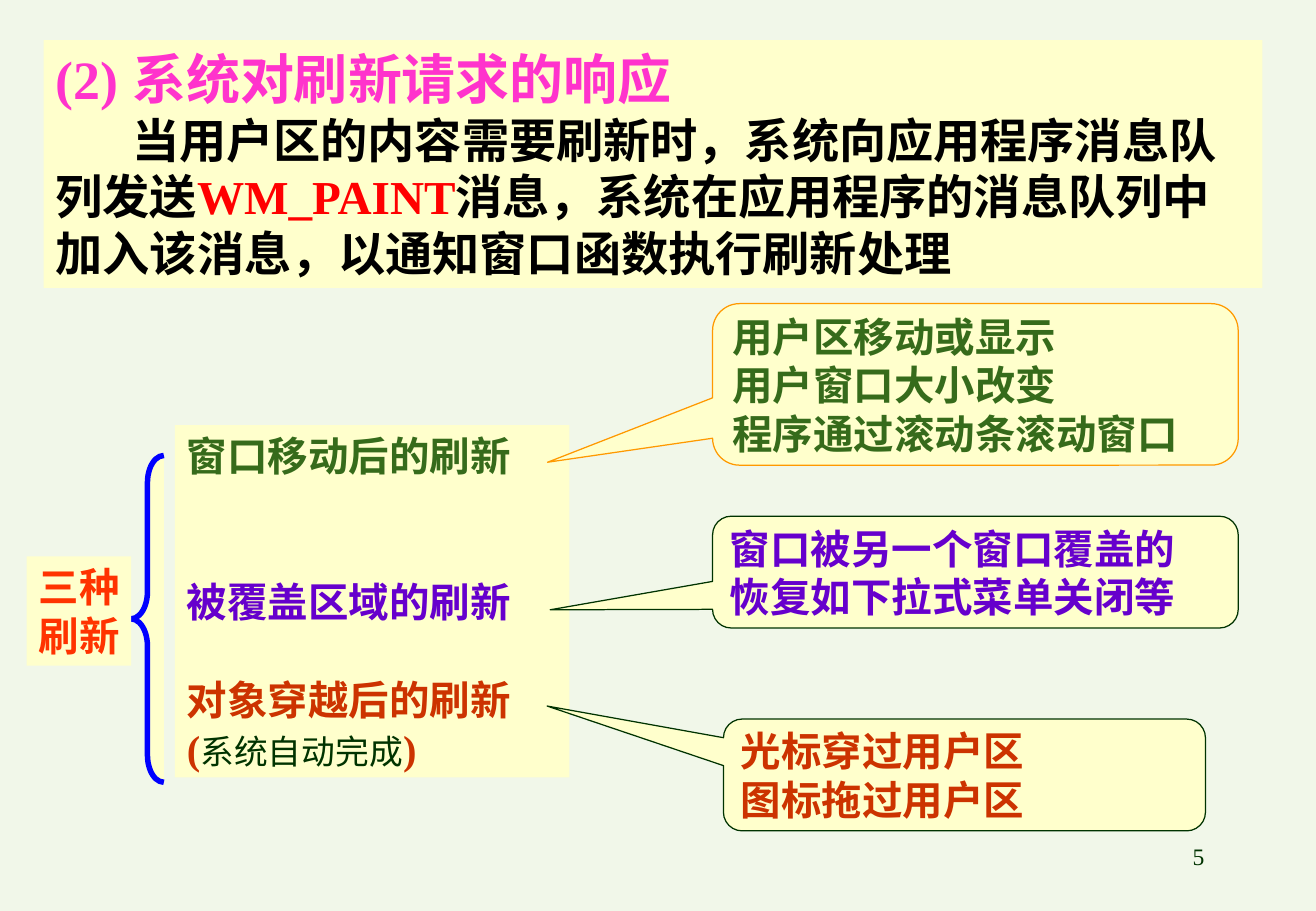
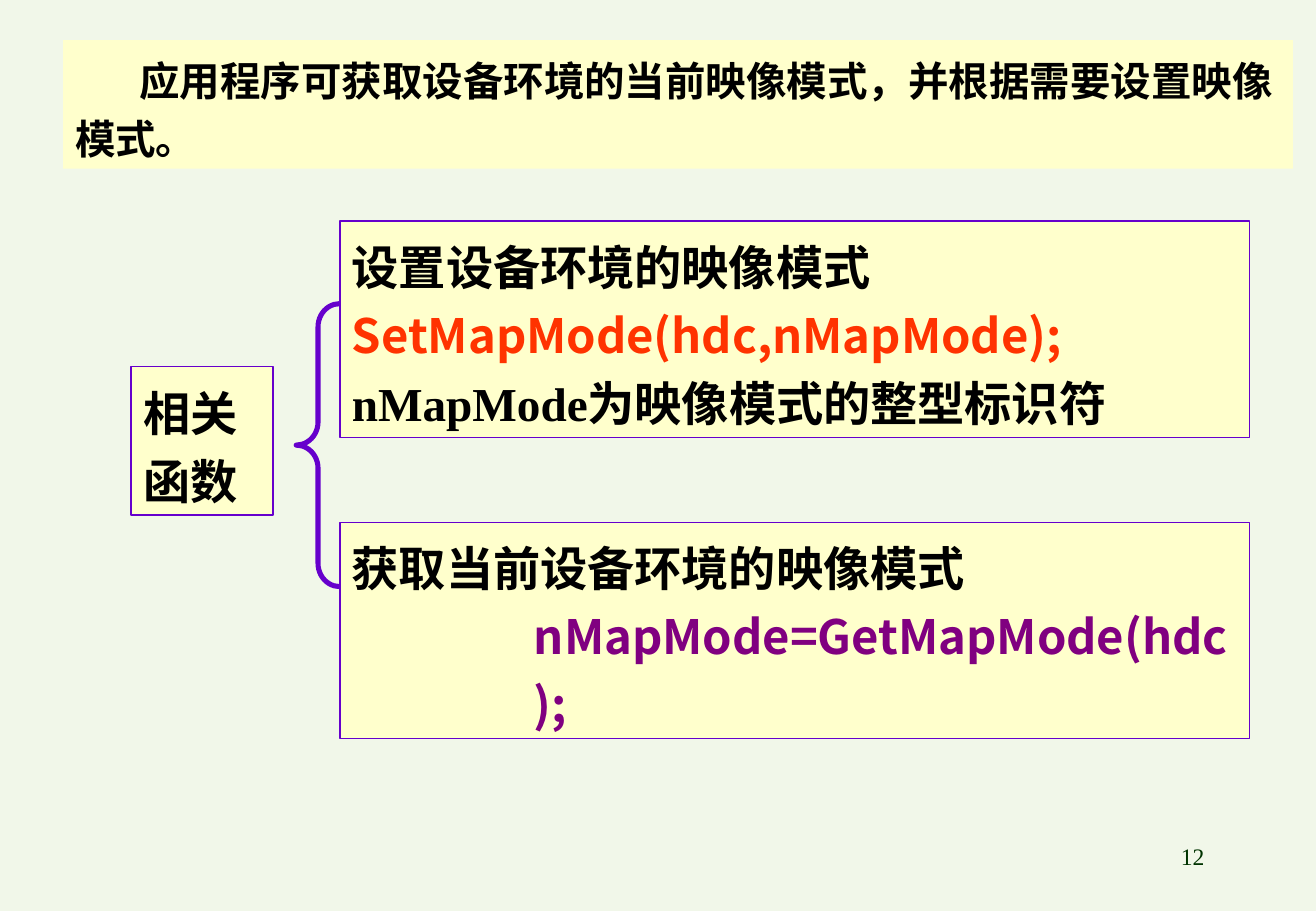
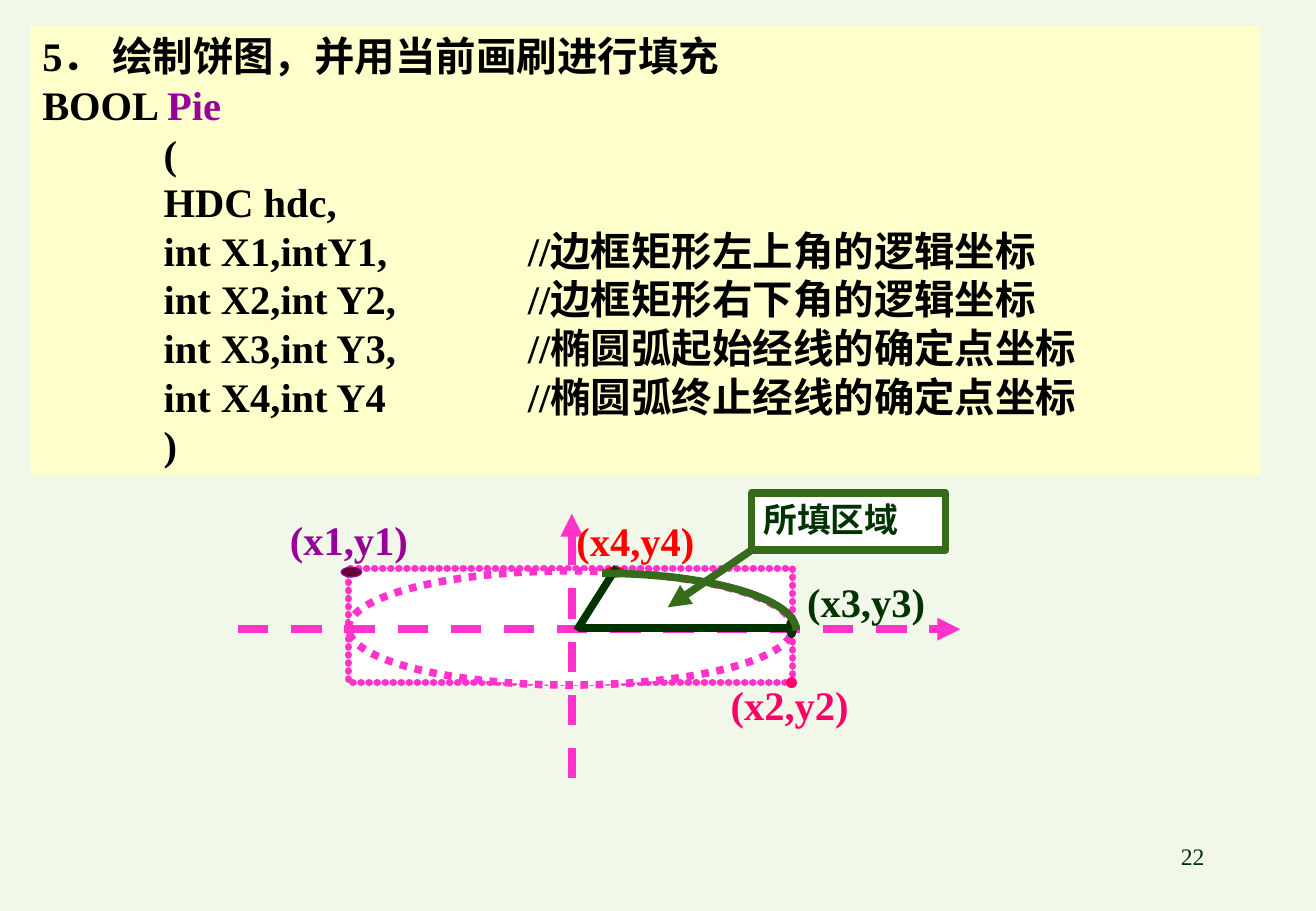
from lxml.etree import SubElement
from pptx import Presentation
from pptx.dml.color import RGBColor
from pptx.enum.dml import MSO_LINE
from pptx.enum.shapes import MSO_CONNECTOR, MSO_SHAPE
from pptx.enum.text import MSO_ANCHOR, PP_ALIGN
from pptx.oxml.ns import qn
from pptx.util import Inches, Pt

LATIN_FONT = "Times New Roman"
ASIAN_FONT = "Noto Sans CJK SC"
BACKGROUND = "F1F7E9"
CREAM = "FFFFCC"
WHITE = "FFFFFF"
BLACK = "000000"
DARK_GREEN = "003300"
GREEN = "366B1B"
VIOLET = "6600CC"
RUST = "CC3300"
ORANGE_RED = "FF3300"
RED = "FF0000"
PINK = "FF33CC"
PURPLE = "990099"
ROSE = "FF0066"


def add_box(slide, place, paragraphs=(), kind=MSO_SHAPE.RECTANGLE, fill=CREAM, line=None,
            line_width=0.75, size=24, bold=True, spacing=1.0, wrap=True, anchor=MSO_ANCHOR.TOP):
    """Add a shape, or a text box if kind is None; a paragraph is a list of (text, colour) runs."""
    lengths = [Inches(value) for value in place]
    if kind is None:
        shape = slide.shapes.add_textbox(*lengths)
    else:
        shape = slide.shapes.add_shape(kind, *lengths)
        shape.shadow.inherit = False
        if fill:
            shape.fill.solid()
            shape.fill.fore_color.rgb = RGBColor.from_string(fill)
        else:
            shape.fill.background()
        if line:
            shape.line.color.rgb = RGBColor.from_string(line)
            shape.line.width = Pt(line_width)
        else:
            shape.line.fill.background()
    text_frame = shape.text_frame
    text_frame.word_wrap = wrap
    text_frame.vertical_anchor = anchor
    for index, runs in enumerate(paragraphs):
        paragraph = text_frame.add_paragraph() if index else text_frame.paragraphs[0]
        paragraph.alignment = PP_ALIGN.LEFT
        paragraph.line_spacing = spacing
        for text, color in runs:
            run = paragraph.add_run()
            run.text = text
            run.font.size = Pt(size)
            run.font.bold = bold
            run.font.name = LATIN_FONT
            run.font.color.rgb = RGBColor.from_string(color)
            SubElement(run.font._element, qn("a:ea"), typeface=ASIAN_FONT)
    return shape


def add_line(slide, start, end, color, dash=None, arrow=None):
    """Add a straight line; arrow is headEnd, tailEnd or None."""
    points = [Inches(value) for value in (*start, *end)]
    connector = slide.shapes.add_connector(MSO_CONNECTOR.STRAIGHT, *points)
    connector.line.color.rgb = RGBColor.from_string(color)
    connector.line.width = Pt(4.5)
    if dash:
        connector.line.dash_style = dash
    if arrow:
        SubElement(connector.line._get_or_add_ln(), qn("a:" + arrow), type="triangle")
    SubElement(connector._element.spPr, qn("a:effectLst"))


# Presentation, shared background and page numbers
presentation = Presentation()
presentation.slide_width = Inches(10.84)
presentation.slide_height = Inches(7.5)
master_fill = presentation.slide_master.background.fill
master_fill.solid()
master_fill.fore_color.rgb = RGBColor.from_string(BACKGROUND)

slides = []
for page_number in (5, 12, 22):
    slide = presentation.slides.add_slide(presentation.slide_layouts[6])
    number_box = add_box(slide, (7.76, 6.88, 2.26, 0.5), [[(str(page_number), DARK_GREEN)]],
                         kind=None, size=14, bold=False)
    number_box.text_frame.paragraphs[0].alignment = PP_ALIGN.RIGHT
    slides.append(slide)
refresh_slide, mapping_slide, pie_slide = slides

# Slide 1: introduction
introduction = add_box(refresh_slide, (0.36, 0.33, 10.04, 2.04), [
    [("(2) 系统对刷新请求的响应", PINK)],
    [("当用户区的内容需要刷新时，系统向应用程序消息队列发送", BLACK),
     ("WM_PAINT", RED),
     ("消息，系统在应用程序的消息队列中加入该消息，以通知窗口函数执行刷新处理", BLACK)],
], size=28)
heading, body = introduction.text_frame.paragraphs
heading.runs[0].font.size = Pt(32)
body._p.get_or_add_pPr().set("indent", str(Inches(0.63)))

# Slide 1: brace and the three kinds of refresh
brace = add_box(refresh_slide, (1.08, 3.75, 0.27, 2.69), kind=MSO_SHAPE.LEFT_BRACE,
                line="0000FF", line_width=3.25)
brace.adjustments[0] = 0.83
add_box(refresh_slide, (0.22, 4.58, 0.86, 0.9),
        [[("三种", ORANGE_RED)], [("刷新", ORANGE_RED)]], wrap=False)
kinds = add_box(refresh_slide, (1.44, 3.5, 3.25, 2.9), [
    [("窗口移动后的刷新", GREEN)],
    [("被覆盖区域的刷新", VIOLET)],
    [("对象穿越后的刷新", RUST)],
    [("(", RUST), ("系统自动完成", DARK_GREEN), (")", RUST)],
])
moved, covered, crossed, remark = kinds.text_frame.paragraphs
covered.space_before = Pt(58)
crossed.space_before = Pt(29)
remark.runs[1].font.size = Pt(20)
remark.runs[1].font.bold = False

# Slide 1: callouts
callouts = [
    ((5.87, 2.5, 4.33, 1.33), (-0.814, 0.482), "FF9900", GREEN,
     ["用户区移动或显示", "用户窗口大小改变", "程序通过滚动条滚动窗口"]),
    ((5.87, 4.25, 4.33, 0.92), (-0.809, 0.337), DARK_GREEN, VIOLET,
     ["窗口被另一个窗口覆盖的", "恢复如下拉式菜单关闭等"]),
    ((5.96, 5.92, 3.97, 0.92), (-0.866, -0.617), DARK_GREEN, RUST,
     ["光标穿过用户区", "图标拖过用户区"]),
]
for place, tip, line, color, texts in callouts:
    callout = add_box(refresh_slide, place, [[(text, color)] for text in texts],
                      kind=MSO_SHAPE.ROUNDED_RECTANGULAR_CALLOUT, line=line,
                      anchor=MSO_ANCHOR.MIDDLE)
    callout.adjustments[0], callout.adjustments[1] = tip

# Slide 2: introduction
introduction = add_box(mapping_slide, (0.52, 0.33, 10.13, 1.06), [
    [("应用程序可获取设备环境的当前映像模式，并根据需要设置映像模式。", BLACK)],
], spacing=1.2)
introduction.text_frame.paragraphs[0]._p.get_or_add_pPr().set("indent", str(Inches(0.53)))

# Slide 2: related functions
function_boxes = [
    ((1.08, 3.02, 1.17, 1.22), [("相关", BLACK), ("函数", BLACK)]),
    ((2.8, 1.82, 7.49, 1.78), [("设置设备环境的映像模式", BLACK),
                               ("SetMapMode(hdc,nMapMode);", ORANGE_RED),
                               ("nMapMode为映像模式的整型标识符", BLACK)]),
    ((2.8, 4.3, 7.49, 1.78), [("获取当前设备环境的映像模式", BLACK),
                              ("nMapMode=GetMapMode(hdc);", "800080")]),
]
for place, lines in function_boxes:
    box = add_box(mapping_slide, place, [[line] for line in lines],
                  line=VIOLET, size=28, spacing=1.2)
    for paragraph in box.text_frame.paragraphs:
        if paragraph.text.endswith(";"):
            paragraph.runs[0].font.name = ASIAN_FONT
get_call = box.text_frame.paragraphs[1]
get_call._p.get_or_add_pPr().set("marL", str(Inches(1.5)))
brace = add_box(mapping_slide, (2.44, 2.5, 0.36, 2.33), kind=MSO_SHAPE.LEFT_BRACE,
                fill=None, line=VIOLET, line_width=3)
brace.adjustments[0] = 0.53

# Slide 3: function declaration
parameters = ["(", "HDC hdc,",
              "int X1,intY1,\t\t//边框矩形左上角的逻辑坐标",
              "int X2,int Y2,\t\t//边框矩形右下角的逻辑坐标",
              "int X3,int Y3,\t\t//椭圆弧起始经线的确定点坐标",
              "int X4,int Y4\t\t//椭圆弧终止经线的确定点坐标", ")"]
declaration = add_box(pie_slide, (0.25, 0.21, 10.13, 3.7), [
    [("5． 绘制饼图，并用当前画刷进行填充", BLACK)],
    [("BOOL ", BLACK), ("Pie", PURPLE)],
    *[[(parameter, BLACK)] for parameter in parameters],
])
for paragraph in declaration.text_frame.paragraphs[2:]:
    properties = paragraph._p.get_or_add_pPr()
    properties.set("marL", str(Inches(1)))
    tab_list = SubElement(properties, qn("a:tabLst"))
    for position in (2, 3, 4):
        SubElement(tab_list, qn("a:tab"), pos=str(Inches(position)), algn="l")

# Slide 3: bounding rectangle, ellipse and axes
bounds = add_box(pie_slide, (2.87, 4.68, 3.66, 0.94), fill=WHITE, line=PINK, line_width=4.5)
bounds_line = bounds.line._get_or_add_ln()
bounds_line.set("cap", "rnd")
dots = SubElement(bounds_line, qn("a:custDash"))
SubElement(dots, qn("a:ds"), d="1000", sp="105000")
ellipse = add_box(pie_slide, (2.87, 4.7, 3.66, 0.94), kind=MSO_SHAPE.OVAL,
                  fill=WHITE, line=PINK, line_width=4.5)
ellipse.line.dash_style = MSO_LINE.ROUND_DOT
SubElement(ellipse.line._get_or_add_ln(), qn("a:round"))
add_line(pie_slide, (1.96, 5.18), (7.91, 5.18), PINK, MSO_LINE.DASH, "tailEnd")
add_line(pie_slide, (4.71, 4.23), (4.71, 6.58), PINK, MSO_LINE.DASH, "headEnd")

# Slide 3: marked points with their labels
points = [
    ("(x1,y1)", PURPLE, (2.29, 4.27), (2.81, 4.67, 0.17, 0.08), "660033"),
    ("(x2,y2)", ROSE, (5.92, 5.63), (6.48, 5.58, 0.08, 0.08), ROSE),
    ("(x3,y3)", DARK_GREEN, (6.55, 4.78), (6.48, 5.08, 0.08, 0.17), DARK_GREEN),
    ("(x4,y4)", RED, (4.65, 4.28), (4.98, 4.67, 0.17, 0.08), RED),
]
for text, color, corner, dot_place, dot_fill in points:
    add_box(pie_slide, dot_place, kind=MSO_SHAPE.OVAL, fill=dot_fill, line=color)
    add_box(pie_slide, (*corner, 1.17, 0.42), [[(text, color)]], kind=None,
            spacing=0.8, wrap=False)

# Slide 3: pie sector and its label
add_line(pie_slide, (4.75, 5.19), (5.08, 4.67), DARK_GREEN)
add_box(pie_slide, (3.36, 4.72, 3.2, 0.94), kind=MSO_SHAPE.ARC, fill=None,
        line=GREEN, line_width=4.5)
add_line(pie_slide, (6.19, 4.53), (5.5, 5), GREEN, arrow="tailEnd")
add_box(pie_slide, (6.19, 4.06, 1.6, 0.47), [[("所填区域", DARK_GREEN)]],
        fill=WHITE, line=GREEN, line_width=4.5, size=20)
add_line(pie_slide, (4.77, 5.17), (6.5, 5.17), DARK_GREEN)

presentation.save("out.pptx")
